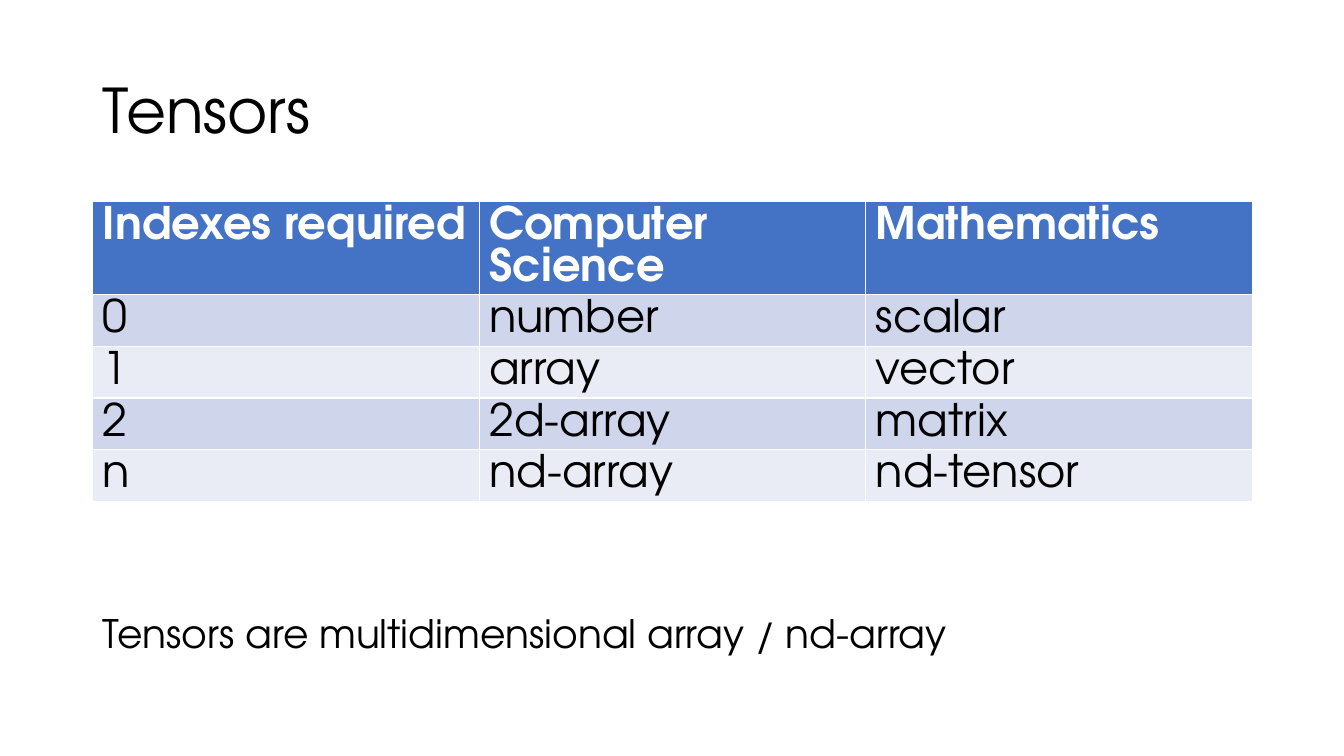
"""Build a slide that compares names for tensors by index count."""
from dataclasses import dataclass

from pptx import Presentation
from pptx.dml.color import RGBColor as Rgb
from pptx.enum.text import MSO_ANCHOR as Anchor, PP_ALIGN as Align
from pptx.util import Inches, Pt


@dataclass(frozen=True)
class Theme:
    font: str = "TeX Gyre Adventor"
    ink: str = "000000"
    white: str = "FFFFFF"
    head: str = "4472C4"
    bands: tuple = ("CFD5EA", "E9EBF5")
    title: int = 44
    cell: int = 32
    note: int = 28


def write(frame, text, size, color, font, bold=False, lead=None, before=None):
    frame.word_wrap = True
    para = frame.paragraphs[0]
    para.alignment = Align.LEFT
    if lead is not None:
        para.line_spacing = lead
    if before is not None:
        para.space_before = Pt(before)
    run = para.add_run()
    run.text = text
    run.font.name = font
    run.font.size = Pt(size)
    run.font.bold = bold
    run.font.color.rgb = Rgb.from_string(color)


class Deck:
    def __init__(self, theme, slide):
        self.theme = theme
        self.slide = slide

    def title(self, text, left, top, width, height):
        shape = self.slide.shapes.title
        shape.left, shape.top = Inches(left), Inches(top)
        shape.width, shape.height = Inches(width), Inches(height)
        frame = shape.text_frame
        frame.vertical_anchor = Anchor.MIDDLE
        write(frame, text, self.theme.title, self.theme.ink, self.theme.font, lead=0.9)

    def table(self, rows, left, top, width, step):
        look = self.theme
        grid = self.slide.shapes.add_table(
            len(rows), len(rows[0]), Inches(left), Inches(top),
            Inches(width), Inches(step * len(rows))).table
        for i, row in enumerate(rows):
            head = i == 0
            fill = look.head if head else look.bands[(i - 1) % 2]
            color = look.white if head else look.ink
            for j, text in enumerate(row):
                cell = grid.cell(i, j)
                cell.fill.solid()
                cell.fill.fore_color.rgb = Rgb.from_string(fill)
                write(cell.text_frame, text, look.cell, color, look.font, bold=head)

    def note(self, text, left, top, width, height):
        box = self.slide.shapes.add_textbox(
            Inches(left), Inches(top), Inches(width), Inches(height))
        write(box.text_frame, text, self.theme.note, self.theme.ink,
              self.theme.font, lead=0.9, before=10)


ROWS = [
    ("Indexes required", "Computer Science", "Mathematics"),
    ("0", "number", "scalar"),
    ("1", "array", "vector"),
    ("2", "2d-array", "matrix"),
    ("n", "nd-array", "nd-tensor"),
]
LEFT, WIDTH = 0.92, 11.5

show = Presentation()
show.slide_width, show.slide_height = Inches(13.33), Inches(7.5)
deck = Deck(Theme(), show.slides.add_slide(show.slide_layouts[5]))
deck.title("Tensors", LEFT, 0.4, WIDTH, 1.45)
deck.table(ROWS, LEFT, 2, WIDTH, 0.41)
deck.note("Tensors are multidimensional array / nd-array", LEFT, 6.05, WIDTH, 0.71)
show.save("out.pptx")
